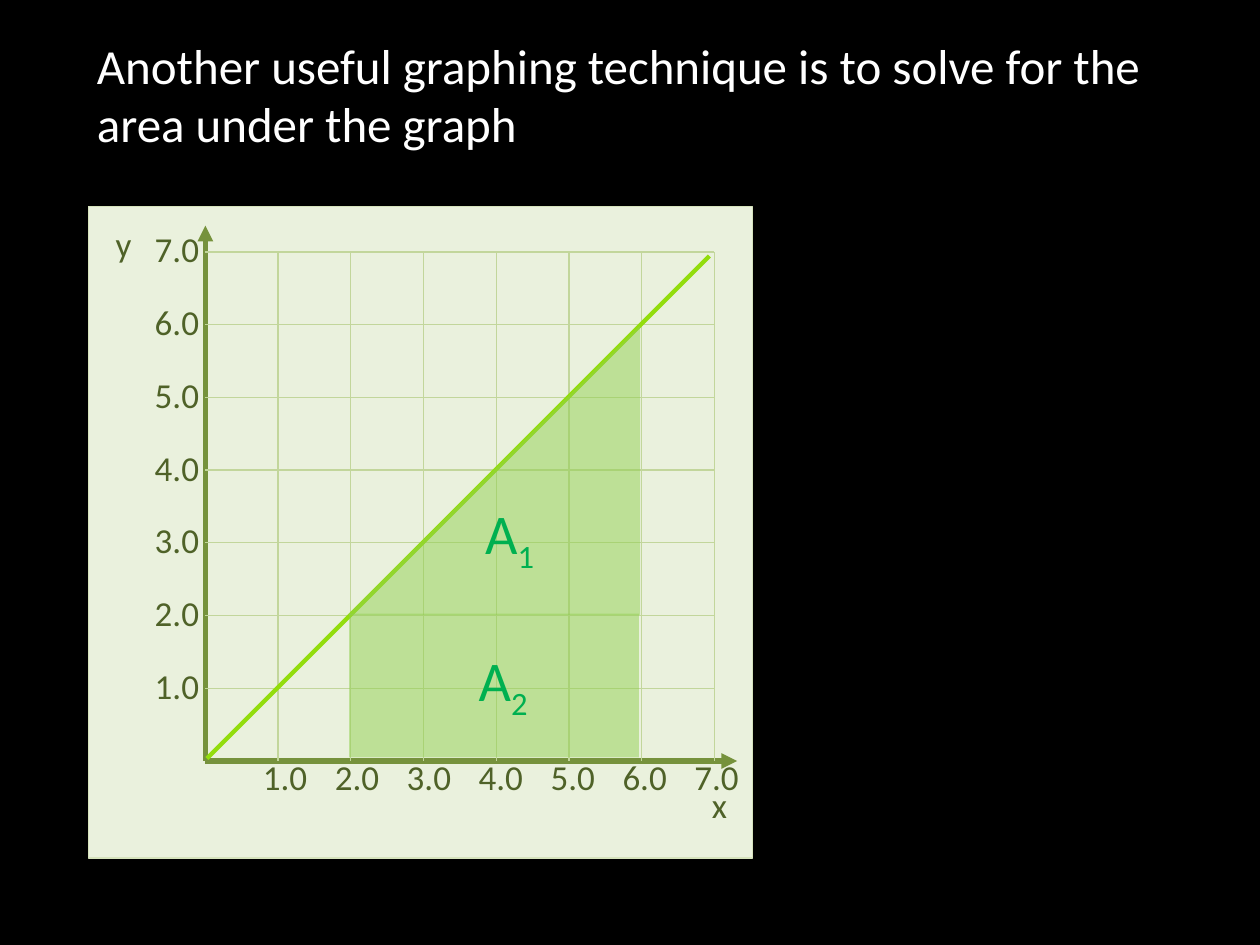
from lxml import etree
from pptx import Presentation, util as u
from pptx.dml.color import RGBColor
from pptx.enum import shapes, text
from pptx.oxml import ns

Cm, Pt = u.Cm, u.Pt
hue = RGBColor.from_string


def line(x1, y1, x2, y2, tint, width, arrow=False):
    rule = graph.shapes.add_connector(
        shapes.MSO_CONNECTOR.STRAIGHT, Cm(x1), Cm(y1), Cm(x2), Cm(y2))
    rule.line.color.rgb = hue(tint)
    rule.line.width = Pt(width)
    if arrow:
        etree.SubElement(rule.line._get_or_add_ln(), ns.qn("a:tailEnd"), type="triangle")
    etree.SubElement(rule._element.spPr, ns.qn("a:effectLst"))


def label(home, words, x, y, w, h, size, tint):
    box = home.shapes.add_textbox(Cm(x), Cm(y), Cm(w), Cm(h))
    box.text_frame.word_wrap = True
    para = box.text_frame.paragraphs[0]
    para.text = words
    font = para.runs[0].font
    font.name, font.size, font.color.rgb = "Calibri", Pt(size), hue(tint)
    return box


deck = Presentation()
deck.slide_width, deck.slide_height = Cm(25.4), Cm(19.05)
slide = deck.slides.add_slide(deck.slide_layouts[5])
slide.background.fill.solid()
slide.background.fill.fore_color.rgb = hue("000000")

# Title
title = slide.shapes.title
title.left, title.top, title.width, title.height = Cm(1.7), Cm(0.58), Cm(22.91), Cm(2.59)
frame = title.text_frame
frame.text = "Another useful graphing technique is to solve for the area under the graph"
frame.word_wrap = True
frame.auto_size = text.MSO_AUTO_SIZE.NONE
frame.vertical_anchor = text.MSO_ANCHOR.TOP
para = frame.paragraphs[0]
para.alignment = text.PP_ALIGN.LEFT
font = para.runs[0].font
font.name, font.size, font.color.rgb = "Calibri", Pt(28), hue("FFFFFF")

# Graph panel
graph = slide.shapes.add_group_shape()
panel = graph.shapes.add_shape(
    shapes.MSO_SHAPE.RECTANGLE, Cm(1.78), Cm(4.17), Cm(13.39), Cm(13.13))
panel.shadow.inherit = False
panel.fill.solid()
panel.fill.fore_color.rgb = hue("EAF1DD")
panel.line.color.rgb = hue("D6E3BC")
panel.line.width = Pt(0.75)

# Axes, from the origin
left, base, side = 4.14, 15.34, 10.26
step = side / 7
line(left, base, left, 4.55, "76923C", 3, True)
line(left, base, 14.86, base, "76923C", 3, True)

# Grid and scale numbers
for n in range(1, 8):
    x, y = left + n * step, base - n * step
    line(left, y, left + side, y, "C2D69B", 0.75)
    line(x, base, x, base - side, "C2D69B", 0.75)
    label(graph, f"{n}.0", 2.87, y - 0.61, 1.45, 0.94, 20, "4F6228")
    label(graph, f"{n}.0", 3.6 + n * 1.45, 15.11, 1.45, 0.94, 20, "4F6228")

# Axis names
label(graph, "x", 14.1, 15.67, 0.89, 1.14, 20, "4F6228")
label(graph, "y", 2.08, 4.37, 1.04, 1.17, 20, "4F6228")

# Plotted line
line(4.17, 15.29, 14.3, 5.16, "93DD0D", 2.5)

# Areas under the line
for kind, y, h, turn in (
    (shapes.MSO_SHAPE.RECTANGLE, 12.37, 2.9, 0),
    (shapes.MSO_SHAPE.RIGHT_TRIANGLE, 6.53, 5.89, 270),
):
    area = slide.shapes.add_shape(kind, Cm(7.04), Cm(y), Cm(5.84), Cm(h))
    area.rotation = turn
    area.shadow.inherit = False
    area.fill.solid()
    area.fill.fore_color.rgb = hue("92D050")
    tone = area.fill._xPr.find(".//" + ns.qn("a:srgbClr"))
    etree.SubElement(tone, ns.qn("a:alpha"), val="50000")
    area.line.fill.background()

# Area names
for sub, x, y in (("1", 9.53, 9.93), ("2", 9.4, 12.88)):
    name = label(slide, "A", x, y, 1.78, 1.63, 32, "00B050")
    name.text_frame.auto_size = text.MSO_AUTO_SIZE.SHAPE_TO_FIT_TEXT
    run = name.text_frame.paragraphs[0].add_run()
    run.text = sub
    run.font.name, run.font.size, run.font.color.rgb = "Calibri", Pt(32), hue("00B050")
    run._r.get_or_add_rPr().set("baseline", "-25000")

deck.save("out.pptx")
